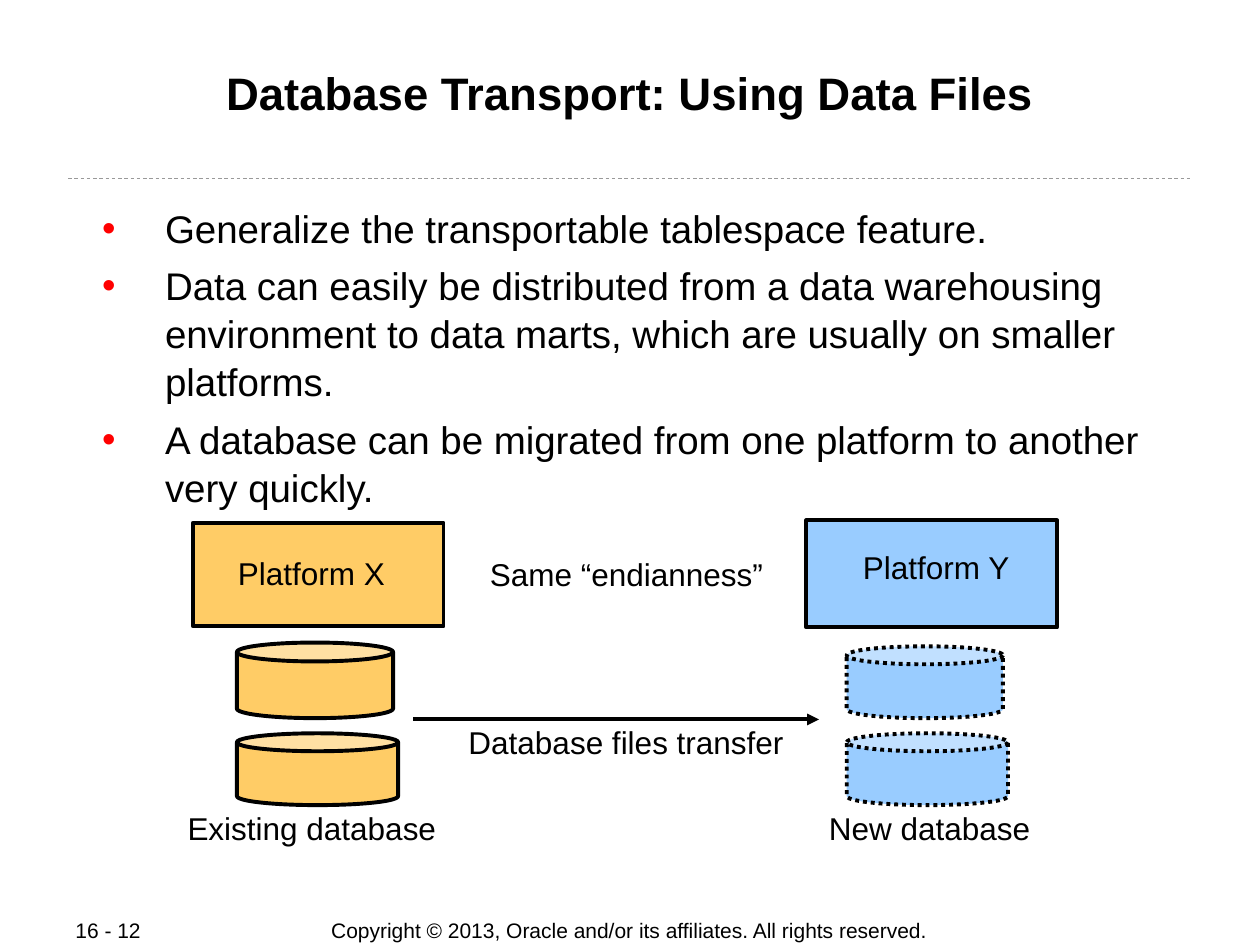
from dataclasses import dataclass

from lxml import etree
from pptx import Presentation, util as u
from pptx.dml.color import RGBColor
from pptx.enum import dml, shapes, text
from pptx.oxml.ns import qn

COLUMNS, ROWS = 100, 75
WIDTH, HEIGHT = u.Inches(10), u.Inches(7.5)
BLACK, GRAY, RED = "000000", "999999", "FF0000"
EXISTING, NEW = "FFCC66", "99CCFF"


@dataclass(frozen=True)
class Area:
    col: float
    row: float
    cols: float
    rows: float

    def box(self) -> tuple[int, int, int, int]:
        return x(self.col), y(self.row), x(self.cols), y(self.rows)


@dataclass(frozen=True)
class Block:
    kind: shapes.MSO_SHAPE
    area: Area
    fill: str
    dash: dml.MSO_LINE = dml.MSO_LINE.SOLID


@dataclass(frozen=True)
class Label:
    words: str
    area: Area
    size: float = 18
    align: text.PP_ALIGN = text.PP_ALIGN.LEFT
    anchor: text.MSO_ANCHOR = text.MSO_ANCHOR.TOP


TITLE = "Database Transport: Using Data Files"
POINTS = [
    "Generalize the transportable tablespace feature.",
    "Data can easily be distributed from a data warehousing environment "
    "to data marts, which are usually on smaller platforms.",
    "A database can be migrated from one platform to another very quickly.",
]
RECT, CAN = shapes.MSO_SHAPE.RECTANGLE, shapes.MSO_SHAPE.CAN
DOTS = dml.MSO_LINE.ROUND_DOT
BLOCKS = [
    Block(RECT, Area(15.3, 41.5, 19.9, 8.2), EXISTING),
    Block(RECT, Area(64, 41.3, 19.9, 8.5), NEW),
    Block(CAN, Area(18.8, 51, 12.4, 6), EXISTING),
    Block(CAN, Area(18.8, 58.2, 12.8, 5.7), EXISTING),
    Block(CAN, Area(67.2, 51.3, 12.4, 5.7), NEW, DOTS),
    Block(CAN, Area(67.2, 58.2, 12.8, 5.7), NEW, DOTS),
]
LABELS = [
    Label("Platform X", Area(17.9, 43.5, 13.6, 4)),
    Label("Platform Y", Area(67.5, 43, 13.6, 4)),
    Label("Database files transfer", Area(36.2, 56.9, 27, 4)),
    Label("Same “endianness”", Area(37.9, 43.6, 23.7, 4)),
    Label("Existing database", Area(13.9, 63.7, 21.7, 4)),
    Label("New database", Area(64.8, 63.7, 18, 4)),
    Label("16 - 12", Area(5, 72.8, 7.2, 2), 12, anchor=text.MSO_ANCHOR.MIDDLE),
    Label("Copyright © 2013, Oracle and/or its affiliates. All rights reserved.",
          Area(27.5, 72.8, 44.9, 2.1), 12, text.PP_ALIGN.CENTER, text.MSO_ANCHOR.MIDDLE),
]


def x(cols: float) -> int:
    return round(WIDTH * cols / COLUMNS)


def y(rows: float) -> int:
    return round(HEIGHT * rows / ROWS)


def color(value: str) -> RGBColor:
    return RGBColor.from_string(value)


def write(frame, lines, *, size, bold=False, align=text.PP_ALIGN.LEFT,
          anchor=text.MSO_ANCHOR.TOP, wrap=True, margins=(0.1, 0.05),
          before=0, spacing=1.0, bullet=None) -> None:
    frame.auto_size = text.MSO_AUTO_SIZE.NONE
    frame.word_wrap = wrap
    frame.vertical_anchor = anchor
    frame.margin_left = frame.margin_right = u.Inches(margins[0])
    frame.margin_top = frame.margin_bottom = u.Inches(margins[1])
    for index, line in enumerate(lines):
        paragraph = frame.add_paragraph() if index else frame.paragraphs[0]
        paragraph.alignment = align
        paragraph.line_spacing = spacing
        paragraph.space_before = u.Pt(before if index else 0)
        if bullet:
            add_bullet(paragraph, bullet)
        run = paragraph.add_run()
        run.text = line
        run.font.name, run.font.size, run.font.bold = "Arial", u.Pt(size), bold
        run.font.color.rgb = color(BLACK)


def add_bullet(paragraph, value: str) -> None:
    properties = paragraph._p.get_or_add_pPr()
    properties.set("marL", str(u.Inches(0.63)))
    properties.set("indent", str(u.Inches(-0.5)))
    tint = etree.SubElement(properties, qn("a:buClr"))
    etree.SubElement(tint, qn("a:srgbClr"), val=value)
    etree.SubElement(properties, qn("a:buFont"), typeface="Arial")
    etree.SubElement(properties, qn("a:buChar"), char="•")


def place(shape, area: Area) -> None:
    shape.left, shape.top, shape.width, shape.height = area.box()


def draw_block(slide, block: Block) -> None:
    shape = slide.shapes.add_shape(block.kind, *block.area.box())
    shape.shadow.inherit = False
    shape.fill.solid()
    shape.fill.fore_color.rgb = color(block.fill)
    shape.line.color.rgb = color(BLACK)
    shape.line.width = u.Pt(2.25)
    shape.line.dash_style = block.dash


def draw_label(slide, label: Label) -> None:
    frame = slide.shapes.add_textbox(*label.area.box()).text_frame
    write(frame, [label.words], size=label.size, align=label.align,
          anchor=label.anchor, wrap=False)


def draw_line(slide, start: float, end: float, row: float, *, tint: str, weight: float,
              dash=dml.MSO_LINE.SOLID, arrow: bool = False) -> None:
    line = slide.shapes.add_connector(
        shapes.MSO_CONNECTOR.STRAIGHT, x(start), y(row), x(end), y(row))
    line.line.color.rgb = color(tint)
    line.line.width = u.Pt(weight)
    line.line.dash_style = dash
    if arrow:
        etree.SubElement(line.line._get_or_add_ln(), qn("a:tailEnd"), type="triangle")
    etree.SubElement(line._element.spPr, qn("a:effectLst"))


def main() -> None:
    deck = Presentation()
    deck.slide_width, deck.slide_height = WIDTH, HEIGHT
    slide = deck.slides.add_slide(deck.slide_layouts[1])
    title, points = slide.placeholders
    place(title, Area(6.7, 5.1, 86.6, 9.3))
    write(title.text_frame, [TITLE], size=26, bold=True,
          align=text.PP_ALIGN.CENTER, margins=(0.01, 0.01))
    place(points, Area(6.7, 16, 86.6, 23.6))
    write(points.text_frame, POINTS, size=22, margins=(0.01, 0.01),
          before=5.5, spacing=1.04, bullet=RED)
    draw_line(slide, 5.4, 94.6, 14.2, tint=GRAY, weight=0.5, dash=dml.MSO_LINE.DASH)
    for block in BLOCKS:
        draw_block(slide, block)
    draw_line(slide, 32.8, 65, 57.1, tint=BLACK, weight=2.25, arrow=True)
    for label in LABELS:
        draw_label(slide, label)
    deck.save("out.pptx")


if __name__ == "__main__":
    main()
